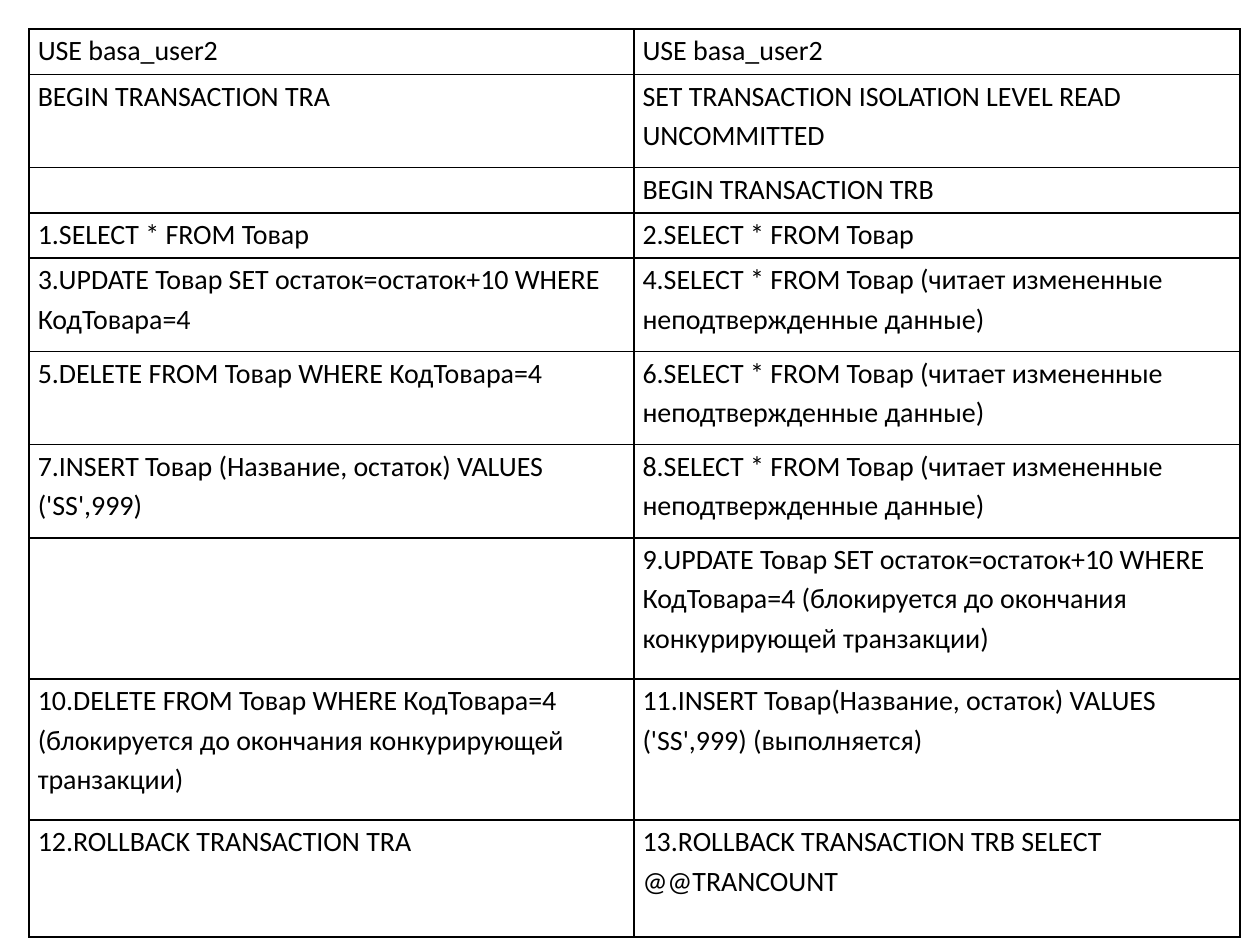
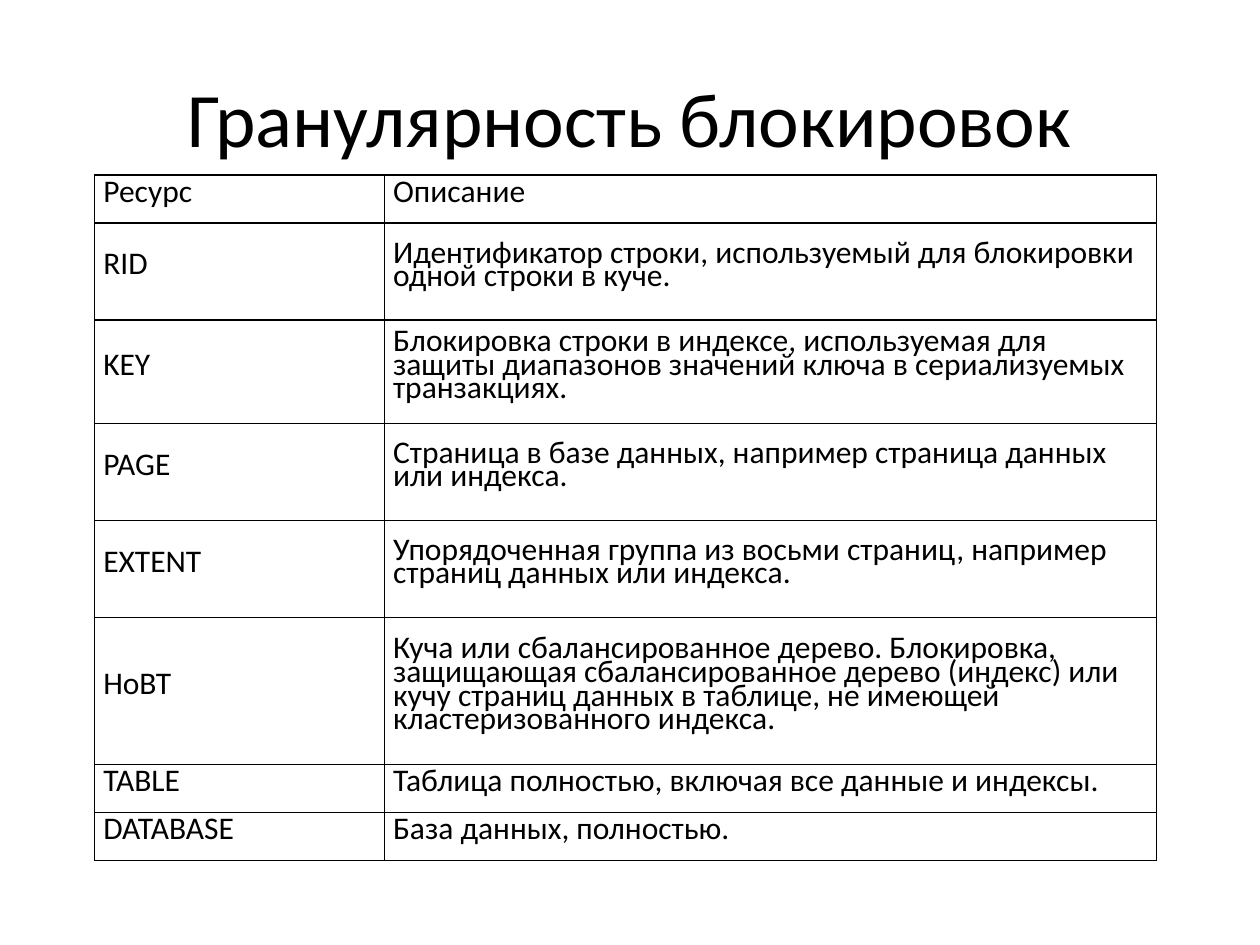
from lxml.etree import SubElement
from pptx import Presentation
from pptx.dml.color import RGBColor
from pptx.enum.text import MSO_ANCHOR, PP_ALIGN
from pptx.oxml.ns import qn
from pptx.util import Inches, Pt

COLORS = {"text": "000000", "border": "000000", "background": "FFFFFF"}
FONT = "Calibri"
BORDER_WIDTH = Pt(1)
CELL_MARGINS = {"margin_left": Inches(0.07), "margin_right": Inches(0.07),
                "margin_top": 0, "margin_bottom": 0}

DIRTY_READ = "SELECT * FROM Товар (читает измененные неподтвержденные данные)"
BLOCKED = "(блокируется до окончания конкурирующей транзакции)"

# Row height, then the cell texts
TRANSACTION_ROWS = [
    (0.36, "USE basa_user2", "USE basa_user2"),
    (0.74, "BEGIN TRANSACTION TRA",
     "SET TRANSACTION ISOLATION LEVEL READ UNCOMMITTED"),
    (0.36, "", "BEGIN TRANSACTION TRB"),
    (0.36, "1.SELECT * FROM Товар", "2.SELECT * FROM Товар"),
    (0.74, "3.UPDATE Товар SET остаток=остаток+10 WHERE КодТовара=4",
     f"4.{DIRTY_READ}"),
    (0.74, "5.DELETE FROM Товар WHERE КодТовара=4", f"6.{DIRTY_READ}"),
    (0.74, "7.INSERT Товар (Название, остаток) VALUES ('SS',999)",
     f"8.{DIRTY_READ}"),
    (1.12, "",
     f"9.UPDATE Товар SET остаток=остаток+10 WHERE КодТовара=4 {BLOCKED}"),
    (1.12, f"10.DELETE FROM Товар WHERE КодТовара=4 {BLOCKED}",
     "11.INSERT Товар(Название, остаток) VALUES ('SS',999) (выполняется)"),
    (0.93, "12.ROLLBACK TRANSACTION TRA",
     "13.ROLLBACK TRANSACTION TRB SELECT @@TRANCOUNT"),
]

RESOURCE_ROWS = [
    (0.38, "Ресурс", "Описание"),
    (0.77, "RID",
     "Идентификатор строки, используемый для блокировки одной строки в куче."),
    (0.82, "KEY",
     "Блокировка строки в индексе, используемая для защиты диапазонов "
     "значений ключа в сериализуемых транзакциях."),
    (0.77, "PAGE",
     "Страница в базе данных, например страница данных или индекса."),
    (0.77, "EXTENT",
     "Упорядоченная группа из восьми страниц, например страниц данных "
     "или индекса."),
    (1.17, "HoBT",
     "Куча или сбалансированное дерево. Блокировка, защищающая "
     "сбалансированное дерево (индекс) или кучу страниц данных в таблице, "
     "не имеющей кластеризованного индекса."),
    (0.38, "TABLE", "Таблица полностью, включая все данные и индексы."),
    (0.38, "DATABASE", "База данных, полностью."),
]


def set_attrs(target, values):
    for name, value in values.items():
        setattr(target, name, value)


def write(p, text, size):
    r = p.add_run()
    r.text = text
    set_attrs(r.font, {"name": FONT, "size": Pt(size)})
    r.font.color.rgb = RGBColor.from_string(COLORS["text"])


def add_borders(cell):
    tc_pr = cell._tc.get_or_add_tcPr()
    for side in ("lnL", "lnR", "lnT", "lnB"):
        ln = SubElement(tc_pr, qn(f"a:{side}"), w=str(BORDER_WIDTH))
        fill = SubElement(ln, qn("a:solidFill"))
        SubElement(fill, qn("a:srgbClr"), val=COLORS["border"])


def add_grid(s, left, top, widths, rows, size, spacing, anchor):
    """Bordered table without fills; its rows carry their own heights."""
    height = sum(row[0] for row in rows)
    table = s.shapes.add_table(
        len(rows), len(widths), Inches(left), Inches(top),
        Inches(sum(widths)), Inches(height)).table
    set_attrs(table, {"first_row": False, "horz_banding": False})
    for column, width in zip(table.columns, widths):
        column.width = Inches(width)
    for row, (row_height, *texts) in zip(table.rows, rows):
        row.height = Inches(row_height)
        for cell, text in zip(row.cells, texts):
            set_attrs(cell, {**CELL_MARGINS, "vertical_anchor": anchor})
            add_borders(cell)
            cell.fill.background()
            if text:
                p = cell.text_frame.paragraphs[0]
                p.line_spacing = spacing
                write(p, text, size)


def add_title(s, text, left, top, width, height):
    box = s.shapes.add_textbox(*map(Inches, (left, top, width, height)))
    tf = box.text_frame
    set_attrs(tf, {"word_wrap": True, "vertical_anchor": MSO_ANCHOR.MIDDLE})
    p = tf.paragraphs[0]
    p.alignment = PP_ALIGN.CENTER
    write(p, text, 44)


def add_slide(prs):
    s = prs.slides.add_slide(prs.slide_layouts[6])
    s.background.fill.solid()
    s.background.fill.fore_color.rgb = RGBColor.from_string(COLORS["background"])
    return s


def main():
    prs = Presentation()
    set_attrs(prs, {"slide_width": Inches(10), "slide_height": Inches(7.5)})

    # Two concurrent transactions
    s = add_slide(prs)
    add_grid(s, 0.23, 0.23, [4.8, 4.81], TRANSACTION_ROWS,
             16, 1.15, MSO_ANCHOR.TOP)

    # Lock granularity
    s = add_slide(prs)
    add_title(s, "Гранулярность блокировок", 0.5, 0.3, 9, 1.25)
    add_grid(s, 0.75, 1.39, [2.3, 6.13], RESOURCE_ROWS,
             18, Pt(13.5), MSO_ANCHOR.MIDDLE)

    prs.save("out.pptx")


if __name__ == "__main__":
    main()
